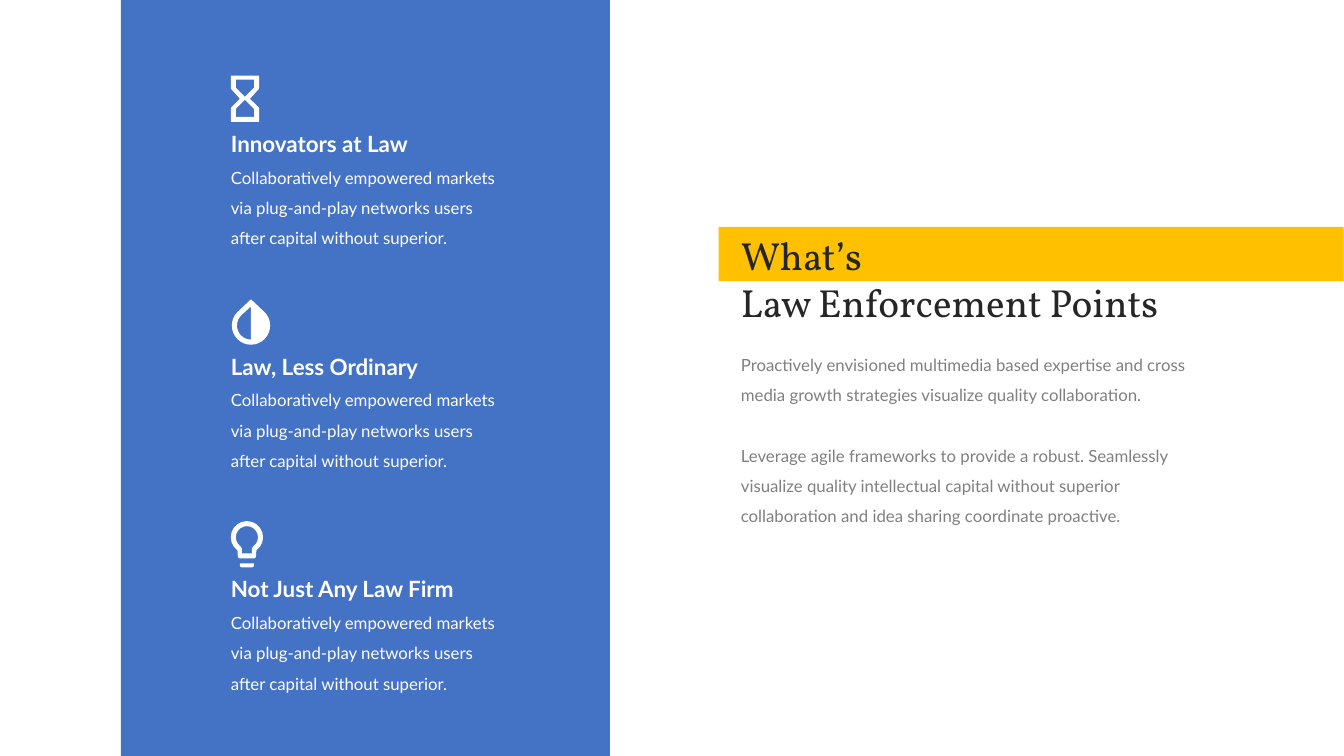
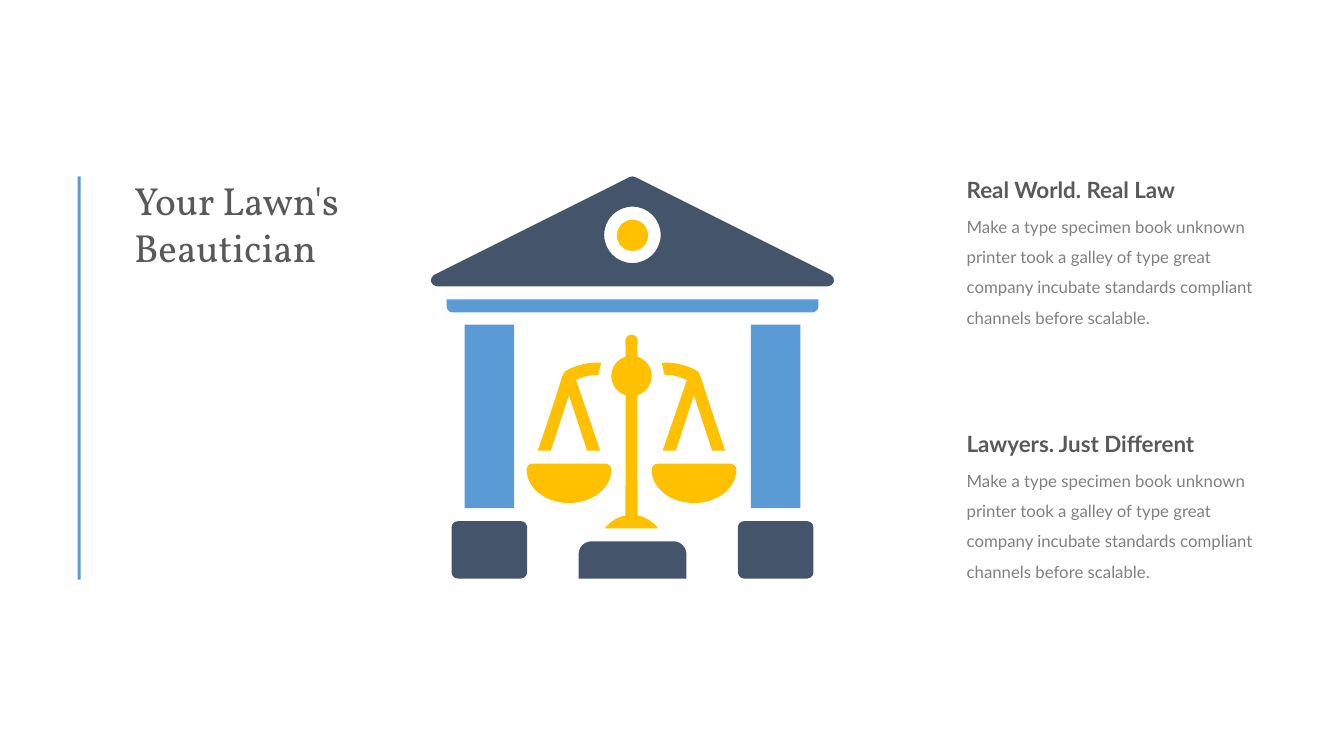
from math import ceil, cos, radians, sin, tan

from lxml.etree import SubElement
from pptx import Presentation
from pptx.dml.color import RGBColor
from pptx.enum.shapes import MSO_SHAPE
from pptx.enum.text import MSO_ANCHOR, MSO_AUTO_SIZE
from pptx.oxml.ns import qn
from pptx.util import Inches, Pt

WHITE = RGBColor(0xFF, 0xFF, 0xFF)
BLUE = RGBColor(0x44, 0x72, 0xC4)
SKY = RGBColor(0x5B, 0x9B, 0xD5)
SLATE = RGBColor(0x44, 0x54, 0x6A)
GOLD = RGBColor(0xFF, 0xC0, 0x00)
INK = RGBColor(0x26, 0x26, 0x26)
CHARCOAL = RGBColor(0x59, 0x59, 0x59)
GREY = RGBColor(0x80, 0x80, 0x80)

BODY_FONT = "Lato"
TITLE_FONT = "Vollkorn"
BODY_LINE = 0.3

MARKETS = ("Collaboratively empowered markets via plug-and-play networks users "
           "after capital without superior.")
SPECIMEN = ("Make a type specimen book unknown printer took a galley of type great "
            "company incubate standards compliant channels before scalable.")
INTRO = [
    "Proactively envisioned multimedia based expertise and cross media growth "
    "strategies visualize quality collaboration.",
    "Leverage agile frameworks to provide a robust. Seamlessly visualize quality "
    "intellectual capital without superior collaboration and idea sharing "
    "coordinate proactive.",
]


def paint(shape, color):
    shape.shadow.inherit = False
    shape.fill.solid()
    shape.fill.fore_color.rgb = color
    shape.line.fill.background()


def block(slide, left, top, width, height, color, kind=MSO_SHAPE.RECTANGLE, corners=()):
    shape = slide.shapes.add_shape(
        kind, Inches(left), Inches(top), Inches(width), Inches(height))
    for index, corner in enumerate(corners):
        shape.adjustments[index] = corner
    paint(shape, color)


def handle(x, y):
    """A curve's control point; two of them lead to the next plain point."""
    return x, y, True


def arc(x, y, rx, ry, start, end):
    """Curve along an ellipse; degrees run clockwise from the right."""
    pieces = ceil(abs(end - start) / 90)
    step = radians(end - start) / pieces
    reach = 4 / 3 * tan(step / 4)
    points = [(x + rx * cos(radians(start)), y + ry * sin(radians(start)))]
    for piece in range(pieces):
        a = radians(start) + piece * step
        b = a + step
        points += [
            handle(x + rx * (cos(a) - reach * sin(a)), y + ry * (sin(a) + reach * cos(a))),
            handle(x + rx * (cos(b) + reach * sin(b)), y + ry * (sin(b) - reach * cos(b))),
            (x + rx * cos(b), y + ry * sin(b))]
    return points


def mirror(points):
    return [(-x, y, *mark) for x, y, *mark in reversed(points)]


def bend(shape, points):
    """Turn each pair of handles and the point after it into one curve."""
    path = next(shape.element.iter(qn("a:path")))
    steps = [step for step in path if step.tag != qn("a:close")]
    index = 0
    while index < len(points):
        if len(points[index]) == 2:
            index += 1
            continue
        curve = SubElement(path, qn("a:cubicBezTo"))
        steps[index].addprevious(curve)
        for step in steps[index:index + 3]:
            curve.append(step[0])
            path.remove(step)
        index += 3


def outline(slide, left, top, color, *contours):
    """Draw closed contours given relative to left, top; inner ones are holes."""
    placed = [[(Inches(left + x), Inches(top + y)) for x, y, *_ in contour]
              for contour in contours]
    builder = slide.shapes.build_freeform(*placed[0][0])
    builder.add_line_segments(placed[0][1:], close=True)
    for contour in placed[1:]:
        builder.move_to(*contour[0])
        builder.add_line_segments(contour[1:], close=True)
    shape = builder.convert_to_shape()
    bend(shape, sum(contours, []))
    paint(shape, color)


def write(slide, left, top, width, height, paragraphs, size, color,
          font=BODY_FONT, bold=False, spacing=None, gap=0, anchor=MSO_ANCHOR.TOP):
    frame = slide.shapes.add_textbox(
        Inches(left), Inches(top), Inches(width), Inches(height)).text_frame
    frame.word_wrap = True
    frame.auto_size = MSO_AUTO_SIZE.SHAPE_TO_FIT_TEXT
    frame.vertical_anchor = anchor
    frame.margin_left = frame.margin_right = frame.margin_top = frame.margin_bottom = 0
    for index, text in enumerate(paragraphs):
        paragraph = frame.add_paragraph() if index else frame.paragraphs[0]
        if spacing:
            paragraph.line_spacing = spacing
        if index:
            paragraph.space_before = Pt(gap)
        run = paragraph.add_run()
        run.text = text
        run.font.name = font
        run.font.size = Pt(size)
        run.font.bold = bold
        run.font.color.rgb = color


def title(slide, left, top, width, lines, color):
    write(slide, left, top, width, 0.94, lines, 28, color, TITLE_FONT,
          anchor=MSO_ANCHOR.MIDDLE)


def body(slide, left, top, width, line_count, paragraphs, color, gap=0):
    write(slide, left, top, width, line_count * BODY_LINE, paragraphs, 12, color,
          spacing=1.5, gap=gap)


def headed_text(slide, left, top, width, heading, text, line_count, body_offset,
                heading_color, body_color):
    write(slide, left, top, width, 0.27, [heading], 16, heading_color, bold=True)
    body(slide, left, top + body_offset, width, line_count, [text], body_color)


def hourglass(slide, left, top):
    outline(slide, left, top, WHITE,
            [(0, 0), (0.28, 0), (0.28, 0.13), (0.19, 0.23), (0.28, 0.32),
             (0.28, 0.46), (0, 0.46), (0, 0.32), (0.09, 0.23), (0, 0.13)],
            [(0.14, 0.21), (0.23, 0.12), (0.23, 0.04), (0.05, 0.04), (0.05, 0.12)],
            [(0.14, 0.24), (0.05, 0.33), (0.05, 0.41), (0.23, 0.41), (0.23, 0.33)])


def drop(slide, left, top):
    outline(slide, left, top, WHITE,
            [(0.2, 0.01)] + arc(0.2, 0.27, 0.19, 0.19, -45, 225),
            [(0.2, 0.08)] + arc(0.2, 0.27, 0.14, 0.14, 225, 90))


def bulb(slide, left, top):
    outline(slide, left, top, WHITE,
            arc(0.16, 0.16, 0.16, 0.16, 126, 414)
            + arc(0.23, 0.35, 0.02, 0.02, 0, 90)
            + arc(0.09, 0.35, 0.02, 0.02, 90, 180),
            arc(0.16, 0.16, 0.11, 0.11, 126, 414)
            + [(0.21, 0.27), (0.21, 0.32), (0.11, 0.32), (0.11, 0.27)],
            [(0.09, 0.42), (0.23, 0.42)] + arc(0.21, 0.44, 0.02, 0.02, 0, 90)
            + arc(0.11, 0.44, 0.02, 0.02, 90, 180))


def feature_panel(slide, left, width):
    block(slide, left, 0, width, 7.5, BLUE)
    features = [(hourglass, "Innovators at Law"), (drop, "Law, Less Ordinary"),
                (bulb, "Not Just Any Law Firm")]
    for row, (icon, heading) in enumerate(features):
        x, y = left + 1.09, 0.75 + 2.21 * row
        icon(slide, x, y)
        headed_text(slide, x, y + 0.54, 2.68, heading, MARKETS, 3, 0.27, WHITE, WHITE)


def intro(slide, left, top):
    block(slide, left, top, 6.2, 0.54, GOLD)
    title(slide, left + 0.22, top + 0.04, 4.69, ["What’s", "Law Enforcement Points"], INK)
    body(slide, left + 0.22, top + 1.17, 4.69, 6, INTRO, GREY, gap=21.6)


def scales(slide, axis, top):
    """Balance hung symmetrically about the vertical axis."""
    half_post = (arc(0, 0.06, 0.06, 0.06, -90, 0) + arc(0, 0.41, 0.2, 0.2, -73, 73)
                 + [(0.06, 1.79)] + arc(0, 2.12, 0.33, 0.33, -80, -37))
    outline(slide, axis, top, GOLD, half_post + mirror(half_post))

    arm = [(0.55, 0.45), (0.31, 1.15), (0.44, 1.15), (0.62, 0.6), (0.8, 1.15),
           (0.93, 1.15), handle(0.68, 0.43), handle(0.69, 0.38), (0.65, 0.36),
           handle(0.63, 0.34), handle(0.45, 0.26), (0.3, 0.28), (0.33, 0.4),
           handle(0.38, 0.4), handle(0.45, 0.4), (0.55, 0.45)]
    pan = (arc(0.62, 1.34, 0.42, 0.33, 0, 180)
           + arc(0.26, 1.34, 0.06, 0.06, 180, 270)
           + arc(0.98, 1.34, 0.06, 0.06, 270, 360))
    for part in (arm, pan):
        outline(slide, axis, top, GOLD, part)
        outline(slide, axis, top, GOLD, mirror(part))


def courthouse(slide, left, top, width):
    axis = left + width / 2
    half_roof = (arc(0, 0.06, 0.06, 0.06, -90, -63)
                 + arc(1.94, 1.03, 0.06, 0.06, -63, 90))
    outline(slide, axis, top, SLATE, half_roof + mirror(half_roof),
            arc(0, 0.58, 0.28, 0.28, 0, 360))

    def centered(offset, drop_height, part_width, height, color, *style):
        block(slide, axis + offset - part_width / 2, top + drop_height,
              part_width, height, color, *style)

    centered(0, 0.43, 0.31, 0.31, GOLD, MSO_SHAPE.OVAL)
    centered(0, 1.22, 3.69, 0.13, SKY, MSO_SHAPE.ROUND_2_SAME_RECTANGLE, (0, 0.48))
    for offset in (-1.42, 1.42):
        centered(offset, 1.47, 0.49, 1.82, SKY)
        centered(offset, 3.42, 0.75, 0.57, SLATE, MSO_SHAPE.ROUNDED_RECTANGLE, (0.11,))
    centered(0, 3.62, 1.07, 0.37, SLATE, MSO_SHAPE.ROUND_2_SAME_RECTANGLE, (0.35, 0))
    scales(slide, axis - 0.01, top + 1.57)


def enforcement_slide(slide):
    intro(slide, 7.13, 2.25)
    feature_panel(slide, 1.2, 4.85)


def courthouse_slide(slide):
    top = 1.75
    for row, heading in enumerate(["Real World. Real Law", "Lawyers. Just Different"]):
        headed_text(slide, 9.59, top + 2.52 * row, 3.01, heading, SPECIMEN, 4, 0.3,
                    CHARCOAL, GREY)
    title(slide, 1.33, top, 2.42, ["Your Lawn's Beautician"], CHARCOAL)
    courthouse(slide, 4.27, top, 4.01)
    block(slide, 0.77, top, 0.03, 4, SKY)


def main():
    deck = Presentation()
    deck.slide_width, deck.slide_height = Inches(40 / 3), Inches(7.5)
    for build in (enforcement_slide, courthouse_slide):
        build(deck.slides.add_slide(deck.slide_layouts[6]))
    deck.save("out.pptx")


if __name__ == "__main__":
    main()
